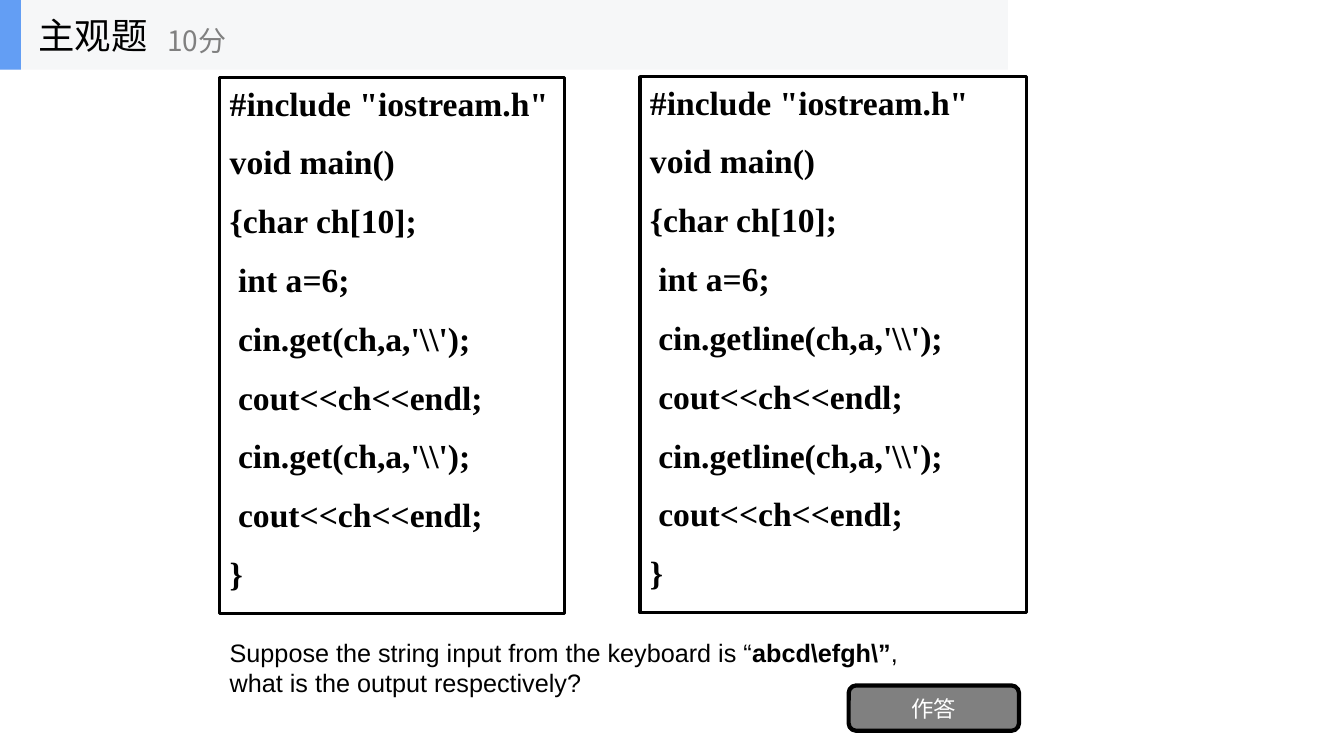
from dataclasses import dataclass
from typing import Any

from lxml import etree
from pptx import Presentation
from pptx.dml.color import RGBColor
from pptx.enum.shapes import MSO_SHAPE
from pptx.enum.text import MSO_ANCHOR, MSO_AUTO_SIZE, PP_ALIGN
from pptx.oxml.ns import qn
from pptx.util import Pt

RECTANGLE = MSO_SHAPE.RECTANGLE
ROUNDED = MSO_SHAPE.ROUNDED_RECTANGLE
TOP, MIDDLE = MSO_ANCHOR.TOP, MSO_ANCHOR.MIDDLE
LEFT, CENTER = PP_ALIGN.LEFT, PP_ALIGN.CENTER
NO_AUTOFIT = MSO_AUTO_SIZE.NONE
TITLE_ONLY = 5


@dataclass(frozen=True)
class Theme:
    black: str = "000000"
    white: str = "FFFFFF"
    gray: str = "808080"
    band: str = "F6F7F8"
    accent: str = "639EF4"
    chinese: str = "Noto Sans CJK SC"
    code: str = "Times New Roman"
    body: str = "Arial"
    title_size: float = 26
    code_size: float = 24
    score_size: float = 20
    body_size: float = 18
    button_size: float = 16
    code_gap: float = 13.2


@dataclass(frozen=True)
class Box:
    left: float
    top: float
    width: float
    height: float

    def lengths(self) -> tuple:
        return Pt(self.left), Pt(self.top), Pt(self.width), Pt(self.height)


@dataclass(frozen=True)
class TextStyle:
    font: str
    size: float
    color: str
    bold: bool = False
    align: Any = LEFT
    anchor: Any = TOP
    gap: float = 0


@dataclass(frozen=True)
class Listing:
    box: Box
    reader: str


THEME = Theme()
TITLE = TextStyle(THEME.chinese, THEME.title_size, THEME.black, anchor=MIDDLE)
SCORE = TextStyle(THEME.chinese, THEME.score_size, THEME.gray, anchor=MIDDLE)
CODE = TextStyle(THEME.code, THEME.code_size, THEME.black, bold=True, gap=THEME.code_gap)
QUESTION = TextStyle(THEME.body, THEME.body_size, THEME.black)
BUTTON = TextStyle(THEME.chinese, THEME.button_size, THEME.white, align=CENTER, anchor=MIDDLE)

HEADER_HEIGHT = 49.7
LISTINGS = (
    Listing(Box(157, 55.4, 246.2, 383), "get"),
    Listing(Box(457.2, 54.7, 275.8, 383), "getline"),
)
QUESTION_LINES = (
    (("Suppose the string input from the keyboard is “", False),
     ("abcd\\efgh\\”", True), (",", False)),
    (("what is the output respectively?", False),),
)


def apply(target: Any, values: dict) -> None:
    for name, value in values.items():
        setattr(target, name, value)


def write(shape: Any, lines: tuple, style: TextStyle) -> None:
    """Fill a shape with lines, each a tuple of (text, bold) pieces."""
    frame = shape.text_frame
    apply(frame, {"word_wrap": True, "auto_size": NO_AUTOFIT,
                  "vertical_anchor": style.anchor,
                  "margin_left": Pt(7.2), "margin_right": Pt(7.2),
                  "margin_top": Pt(3.6), "margin_bottom": Pt(3.6)})
    for index, pieces in enumerate(lines):
        paragraph = frame.add_paragraph() if index else frame.paragraphs[0]
        apply(paragraph, {"alignment": style.align,
                          "space_before": Pt(style.gap if index else 0)})
        for text, bold in pieces:
            run = paragraph.add_run()
            run.text = text
            apply(run.font, {"name": style.font, "size": Pt(style.size), "bold": bold})
            run.font.color.rgb = RGBColor.from_string(style.color)
            # East Asian glyphs take their own typeface element
            east_asian = etree.Element(qn("a:ea"), typeface=style.font)
            run.font._element.find(qn("a:latin")).addnext(east_asian)


def plain(*lines: str, bold: bool = False) -> tuple:
    return tuple(((line, bold),) for line in lines)


def add_panel(slide: Any, box: Box, fill: str, line_width: float = 0,
              outline: Any = RECTANGLE) -> Any:
    panel = slide.shapes.add_shape(outline, *box.lengths())
    panel.shadow.inherit = False
    panel.fill.solid()
    panel.fill.fore_color.rgb = RGBColor.from_string(fill)
    if line_width:
        panel.line.color.rgb = RGBColor.from_string(THEME.black)
        panel.line.width = Pt(line_width)
    else:
        panel.line.fill.background()
    return panel


def add_listing(slide: Any, listing: Listing) -> None:
    read_and_print = (f" cin.{listing.reader}(ch,a,'\\\\');", " cout<<ch<<endl;")
    code = ('#include "iostream.h"', "void main()", "{char ch[10];", " int a=6;",
            *read_and_print * 2, "}")
    panel = add_panel(slide, listing.box, THEME.white, 2.25)
    write(panel, plain(*code, bold=CODE.bold), CODE)


def add_header(slide: Any) -> None:
    add_panel(slide, Box(0, 0, 720, HEADER_HEIGHT), THEME.band)
    add_panel(slide, Box(0, 0, 15, HEADER_HEIGHT), THEME.accent)
    title = slide.shapes.title
    left, top, width, height = Box(20.2, 0, 150, HEADER_HEIGHT).lengths()
    apply(title, {"left": left, "top": top, "width": width, "height": height})
    write(title, plain("主观题"), TITLE)
    slide.shapes._spTree.append(title._element)  # bring above the band
    score = slide.shapes.add_textbox(*Box(112.3, 8.6, 180, 40.3).lengths())
    write(score, plain("10分"), SCORE)


def main() -> None:
    deck = Presentation()
    apply(deck, {"slide_width": Pt(960), "slide_height": Pt(540)})
    slide = deck.slides.add_slide(deck.slide_layouts[TITLE_ONLY])

    # Answer button
    button = add_panel(slide, Box(606.2, 489.6, 121.7, 32.4), THEME.gray, 3, ROUNDED)
    write(button, plain("作答"), BUTTON)

    # Two programs to compare
    for listing in LISTINGS:
        add_listing(slide, listing)

    # Question
    question = slide.shapes.add_textbox(*Box(157, 451.4, 584, 51).lengths())
    write(question, QUESTION_LINES, QUESTION)

    # Header band with title and score
    add_header(slide)
    deck.save("out.pptx")


if __name__ == "__main__":
    main()
